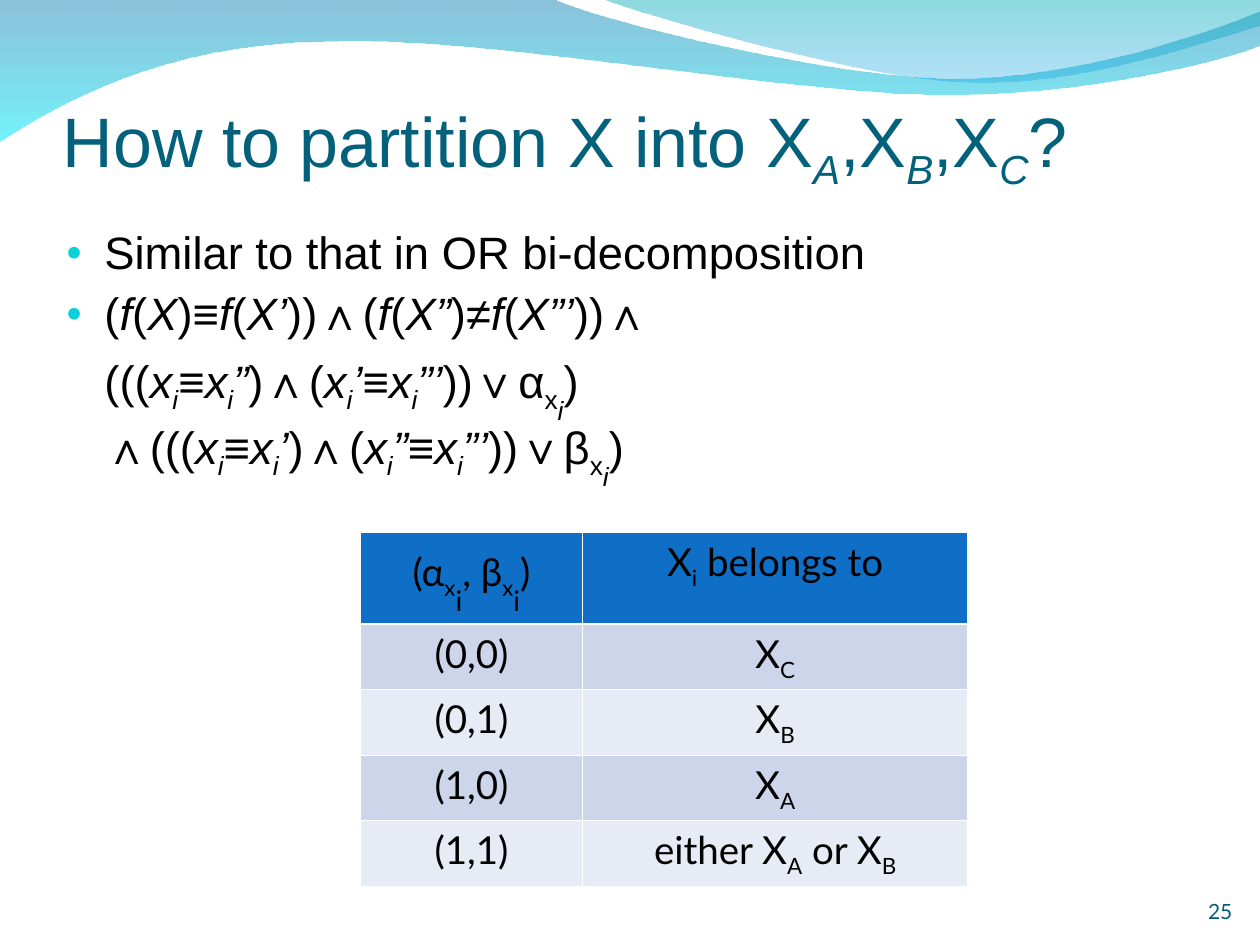
from itertools import groupby

from lxml import etree
from pptx import Presentation
from pptx.dml.color import RGBColor
from pptx.enum.text import MSO_ANCHOR, PP_ALIGN
from pptx.oxml.ns import qn
from pptx.util import Pt

LEFT, CENTER, RIGHT = PP_ALIGN.LEFT, PP_ALIGN.CENTER, PP_ALIGN.RIGHT
TOP, BOTTOM = MSO_ANCHOR.TOP, MSO_ANCHOR.BOTTOM

COLORS = {
    "title": "04617B", "text": "000000", "number": "045C75", "bullet": "0BD0D9",
    "header": "0F6FC6", "odd": "CCD5EA", "even": "E7EBF5", "border": "FFFFFF",
    "wave top": "0079AF", "wave bottom": "00EBF8",
    "crest top": "00ADB6", "crest bottom": "009BE5",
}

WAVES = [
    {"start": (0, 0),
     "steps": [[(317, 0)], [(343, 12), (478, 45), (546, 45)], [(614, 45), (690, 19), (720, 6.5)],
               [(720, 26)], [(708, 32), (626, 55), (537, 54)], [(448, 54), (275, 20), (185, 24)],
               [(93, 25), (33, 60), (0, 81)]],
     "stops": [("wave top", 45), ("wave bottom", 55)]},
    {"start": (345, 0),
     "steps": [[(366, 8), (491, 45), (554, 47)], [(616, 50), (692, 23), (720, 15)], [(720, 0)]],
     "stops": [("crest top", 45), ("crest bottom", 30)]},
]


def x_i(primes=""):
    return [("x", "italic"), ("i", "italic sub"), (primes, "italic")]


def f_of(argument):
    return [("f", "italic"), ("(", ""), (argument, "italic"), (")", "")]


def clause(first, second, third, letter):
    return [("(((", ""), *x_i(), ("≡", ""), *x_i(first), (")∧(", ""), *x_i(second),
            ("≡", "italic"), *x_i(third), ("))∨" + letter, ""), ("x", "sub"),
            ("i", "italic deep"), (")", "")]


TITLE = [("How to partition X into X", ""), ("A", "italic sub"), (",X", ""),
         ("B", "italic sub"), (",X", ""), ("C", "italic sub"), ("?", "")]
BODY = [
    ("•", [("Similar to that in OR bi-decomposition", "")]),
    ("•", [("(", ""), *f_of("X"), ("≡", ""), *f_of("X’"), (")∧(", ""),
           *f_of("X”"), ("≠", ""), *f_of("X”’"), (")∧", "")]),
    ("", [*clause("”", "’", "”’", "α"), (" ∧", ""), *clause("’", "”", "”’", "β")]),
]
TABLE = [
    ([("(α", ""), ("x", "sub"), ("i", "deep large"), (", β", ""), ("x", "sub"),
      ("i", "deep large"), (")", "")], [("X", ""), ("i", "sub"), (" belongs to", "")]),
    ([("(0,0)", "")], [("X", ""), ("C", "sub")]),
    ([("(0,1)", "")], [("X", ""), ("B", "sub")]),
    ([("(1,0)", "")], [("X", ""), ("A", "sub")]),
    ([("(1,1)", "")], [("either X", ""), ("A", "sub"), (" or X", ""), ("B", "sub")]),
]
COLUMN_WIDTHS = [126.9, 220.1]
ROW_HEIGHTS = [52.5] + [37.4] * 4

FONTS = {
    "title": {"name": "Arial", "size": Pt(40)},
    "text": {"name": "Arial", "size": Pt(25.9)},
    "cell": {"name": "Lato", "size": Pt(22)},
    "number": {"name": "Lato", "size": Pt(12)},
}
BASELINES = {"sub": "-25000", "deep": "-50000"}


def set_values(target, values):
    for name, value in values.items():
        setattr(target, name, value)


def write(para, spans, font, color):
    shown = [(text, style) for text, style in spans if text]
    for style, group in groupby(shown, key=lambda item: item[1]):
        span = para.add_run()
        span.text = "".join(text for text, _ in group)
        set_values(span.font, FONTS[font])
        span.font.color.rgb = RGBColor.from_string(COLORS[color])
        words = style.split()
        span.font.italic = "italic" in words
        if "large" in words:
            span.font.size = Pt(28)
        for word in words:
            if word in BASELINES:
                span.font._element.set("baseline", BASELINES[word])


def add_text_box(page, place, anchor, margins):
    box = page.shapes.add_textbox(*[Pt(value) for value in place])
    names = ("margin_left", "margin_top", "margin_right", "margin_bottom")
    set_values(box.text_frame, {"word_wrap": True, "vertical_anchor": anchor})
    set_values(box.text_frame, dict(zip(names, map(Pt, margins))))
    return box.text_frame


def set_bullet(para, bullet):
    properties = para._p.get_or_add_pPr()
    properties.set("marL", str(Pt(21.6)))
    properties.set("indent", str(Pt(-21.6 if bullet else 0)))
    if bullet:
        color = etree.SubElement(properties, qn("a:buClr"))
        etree.SubElement(color, qn("a:srgbClr"), val=COLORS["bullet"])
        etree.SubElement(properties, qn("a:buSzPct"), val="95000")
        etree.SubElement(properties, qn("a:buFont"), typeface="Arial")
        etree.SubElement(properties, qn("a:buChar"), char=bullet)


def bend(wave, steps):
    lines = iter(list(wave._element.spPr.iter(qn("a:lnTo"))))
    for step in steps:
        parts = [next(lines) for _ in step]
        if len(parts) == 3:
            curve = etree.Element(qn("a:cubicBezTo"))
            parts[0].addprevious(curve)
            for part in parts:
                curve.append(part[0])
                part.getparent().remove(part)


def add_wave(page, start, steps, stops):
    builder = page.shapes.build_freeform(*map(Pt, start))
    corners = [(Pt(x), Pt(y)) for step in steps for x, y in step]
    builder.add_line_segments(corners, close=True)
    wave = builder.convert_to_shape()
    bend(wave, steps)
    wave.shadow.inherit = False
    wave.line.fill.background()
    wave.fill.gradient()
    wave.fill.gradient_angle = 270
    for stop, (color, _) in zip(wave.fill.gradient_stops, stops):
        stop.color.rgb = RGBColor.from_string(COLORS[color])
    for node, (_, opacity) in zip(wave._element.spPr.iter(qn("a:srgbClr")), stops):
        etree.SubElement(node, qn("a:alpha"), val=str(opacity * 1000))


def set_borders(cell, widths):
    properties = cell._tc.get_or_add_tcPr()
    for side, width in widths.items():
        line = etree.SubElement(properties, qn("a:ln" + side), w=str(Pt(width)))
        fill = etree.SubElement(line, qn("a:solidFill"))
        etree.SubElement(fill, qn("a:srgbClr"), val=COLORS["border"])


def add_membership_table(page):
    frame = page.shapes.add_table(len(TABLE), len(COLUMN_WIDTHS), Pt(206), Pt(304.2),
                                  Pt(sum(COLUMN_WIDTHS)), Pt(sum(ROW_HEIGHTS)))
    table = frame.table
    for column, width in zip(table.columns, COLUMN_WIDTHS):
        column.width = Pt(width)
    for index, (row, height, contents) in enumerate(zip(table.rows, ROW_HEIGHTS, TABLE)):
        row.height = Pt(height)
        fill = "header" if index == 0 else ("even", "odd")[index % 2]
        widths = {"L": 0.45, "R": 0.45, "T": 1.47 if index == 1 else 0.45,
                  "B": 1.47 if index == 0 else 0.45}
        for cell, spans in zip(row.cells, contents):
            set_borders(cell, widths)
            cell.fill.solid()
            cell.fill.fore_color.rgb = RGBColor.from_string(COLORS[fill])
            para = cell.text_frame.paragraphs[0]
            set_values(para, {"alignment": CENTER, "space_before": Pt(5.5)})
            write(para, spans, "cell", "text")


def main():
    deck = Presentation()
    set_values(deck, {"slide_width": Pt(720), "slide_height": Pt(540)})
    page = deck.slides.add_slide(deck.slide_layouts[6])
    for wave in WAVES:
        add_wave(page, **wave)

    title = add_text_box(page, (36, 20.2, 648, 90), BOTTOM, (0, 3.6, 0, 0))
    write(title.paragraphs[0], TITLE, "title", "title")

    body = add_text_box(page, (31, 128.2, 587.5, 172), TOP, (7.2, 3.6, 7.2, 3.6))
    for index, (bullet, spans) in enumerate(BODY):
        para = body.add_paragraph() if index else body.paragraphs[0]
        set_values(para, {"alignment": LEFT, "line_spacing": 0.9, "space_before": Pt(7)})
        set_bullet(para, bullet)
        write(para, spans, "text", "text")

    add_membership_table(page)

    number = add_text_box(page, (554.4, 491.8, 149.8, 36), BOTTOM, (0, 0, 0, 0))
    number.paragraphs[0].alignment = RIGHT
    write(number.paragraphs[0], [("25", "")], "number", "number")
    deck.save("out.pptx")


if __name__ == "__main__":
    main()
